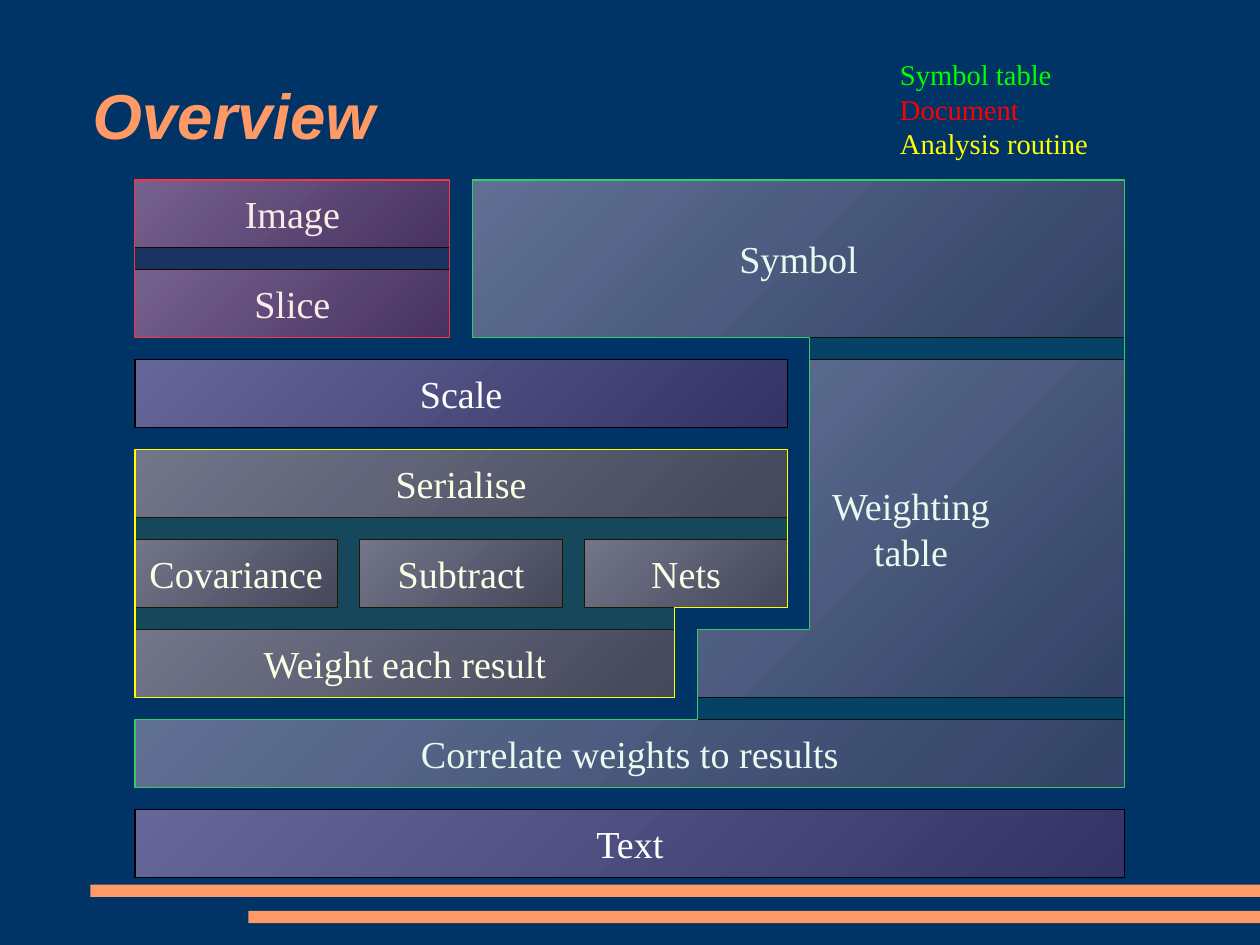
"""Build the Overview slide: a block diagram of processing stages on a regular grid."""
from typing import NamedTuple

from lxml import etree
from pptx import Presentation
from pptx import util as u
from pptx.dml.color import RGBColor
from pptx.enum import shapes, text
from pptx.oxml import ns

SLIDE_WIDTH, SLIDE_HEIGHT = 793.7, 595.28
GRID = 14.17
SERIF = "Times New Roman"
NAVY = RGBColor(0x00, 0x33, 0x66)
ORANGE = RGBColor(0xFF, 0x99, 0x66)
LIGHT = RGBColor(0x66, 0x66, 0x99)
DARK = RGBColor(0x33, 0x33, 0x66)
BLACK = RGBColor(0x00, 0x00, 0x00)
WHITE = RGBColor(0xFF, 0xFF, 0xFF)
GREEN = RGBColor(0x33, 0xCC, 0x66)
RED = RGBColor(0xFF, 0x33, 0x33)
LIME = RGBColor(0xE6, 0xFF, 0x00)
YELLOW = RGBColor(0xFF, 0xFF, 0x00)
PURE_GREEN = RGBColor(0x00, 0xFF, 0x00)
PURE_RED = RGBColor(0xFF, 0x00, 0x00)


class Block(NamedTuple):
    label: str
    col: int
    row: int
    width: int
    height: int = 3


class Region(NamedTuple):
    fill: RGBColor
    line: RGBColor
    corners: list


BLOCKS = [
    Block("Nets", 26, 24, 9),
    Block("Serialise", 6, 20, 29),
    Block("Image", 6, 8, 14),
    Block("Text", 6, 36, 44),
    Block("Slice", 6, 12, 14),
    Block("Scale", 6, 16, 29),
    Block("Symbol", 21, 8, 29, 7),
    Block("Covariance", 6, 24, 9),
    Block("Subtract", 16, 24, 9),
    Block("Weight each result", 6, 28, 24),
    Block("Correlate weights to results", 6, 32, 44),
]
WEIGHTING = [(36, 16), (36, 28), (31, 28), (31, 31), (50, 31), (50, 16)]
REGIONS = [
    Region(GREEN, GREEN, [(21, 8), (21, 15), (36, 15), (36, 28), (31, 28),
                          (31, 32), (6, 32), (6, 35), (50, 35), (50, 8)]),
    Region(RED, RED, [(6, 8), (20, 8), (20, 15), (6, 15)]),
    Region(LIME, YELLOW, [(6, 20), (6, 31), (30, 31), (30, 27), (35, 27), (35, 20)]),
]
BARS = [(57, 557.2), (156.4, 573.7)]
LEGEND = [("Symbol table", PURE_GREEN), ("Document", PURE_RED), ("Analysis routine", YELLOW)]


def grid(n: int) -> u.Length:
    """Convert grid steps to a length."""
    return u.Pt(n * GRID)


def clear_margins(tf) -> None:
    """Remove the insets of a text frame."""
    tf.margin_left = tf.margin_top = tf.margin_right = tf.margin_bottom = 0


def style_block(sp, label: str) -> None:
    """Give a stage its gradient, outline and label."""
    sp.shadow.inherit = False
    sp.fill.gradient()
    sp.fill.gradient_angle = 315
    for stop, color in zip(sp.fill.gradient_stops, (LIGHT, DARK)):
        stop.color.rgb = color
    sp.line.color.rgb = BLACK
    sp.line.width = u.Pt(0)
    tf = sp.text_frame
    clear_margins(tf)
    tf.vertical_anchor = text.MSO_ANCHOR.MIDDLE
    tf.text = label
    for p in tf.paragraphs:
        p.alignment = text.PP_ALIGN.CENTER
        p.font.name, p.font.size = SERIF, u.Pt(24)
        p.font.color.rgb = WHITE


def add_outline(s, corners: list):
    """Draw a closed polygon through grid corners."""
    points = [(grid(x), grid(y)) for x, y in corners]
    builder = s.shapes.build_freeform(*points[0])
    builder.add_line_segments(points[1:], close=True)
    return builder.convert_to_shape()


def add_region(s, region: Region) -> None:
    """Draw a translucent region around related stages."""
    sp = add_outline(s, region.corners)
    sp.shadow.inherit = False
    sp.fill.solid()
    sp.fill.fore_color.rgb = region.fill
    color = sp.element.spPr.find(ns.qn("a:solidFill"))[0]
    etree.SubElement(color, ns.qn("a:alpha"), val="10000")
    sp.line.color.rgb = region.line
    sp.line.width = u.Pt(0)


def add_bar(s, left: float, top: float) -> None:
    """Draw a footer bar running to the right edge."""
    sp = s.shapes.add_shape(shapes.MSO_SHAPE.RECTANGLE, u.Pt(left), u.Pt(top),
                            u.Pt(SLIDE_WIDTH - left), u.Pt(7.8))
    sp.shadow.inherit = False
    sp.fill.solid()
    sp.fill.fore_color.rgb = ORANGE
    sp.line.fill.background()


def add_title(s) -> None:
    """Place and format the slide title."""
    sp = s.shapes.title
    sp.left, sp.top, sp.width, sp.height = u.Pt(58.3), u.Pt(22.3), u.Pt(677.5), u.Pt(99.4)
    tf = sp.text_frame
    clear_margins(tf)
    tf.vertical_anchor = text.MSO_ANCHOR.MIDDLE
    tf.text = "Overview"
    p = tf.paragraphs[0]
    p.alignment = text.PP_ALIGN.LEFT
    p.font.name, p.font.size = "Arial", u.Pt(40)
    p.font.bold = p.font.italic = True
    p.font.color.rgb = ORANGE


def add_legend(s) -> None:
    """Write the colour key."""
    sp = s.shapes.add_textbox(u.Pt(566.9), u.Pt(36), u.Pt(140.4), u.Pt(73.4))
    tf = sp.text_frame
    clear_margins(tf)
    tf.word_wrap = False
    tf.text = "\n".join(name for name, _ in LEGEND)
    for p, (_, color) in zip(tf.paragraphs, LEGEND):
        p.font.name, p.font.size = SERIF, u.Pt(18)
        p.font.color.rgb = color


def main() -> None:
    """Assemble and save the slide."""
    prs = Presentation()
    prs.slide_width, prs.slide_height = u.Pt(SLIDE_WIDTH), u.Pt(SLIDE_HEIGHT)
    s = prs.slides.add_slide(prs.slide_layouts[5])
    s.background.fill.solid()
    s.background.fill.fore_color.rgb = NAVY
    add_title(s)
    for left, top in BARS:
        add_bar(s, left, top)
    for b in BLOCKS:
        sp = s.shapes.add_shape(shapes.MSO_SHAPE.RECTANGLE, grid(b.col), grid(b.row),
                                grid(b.width), grid(b.height))
        style_block(sp, b.label)
    style_block(add_outline(s, WEIGHTING), "Weighting\ntable")
    for region in REGIONS:
        add_region(s, region)
    add_legend(s)
    prs.save("out.pptx")


if __name__ == "__main__":
    main()
